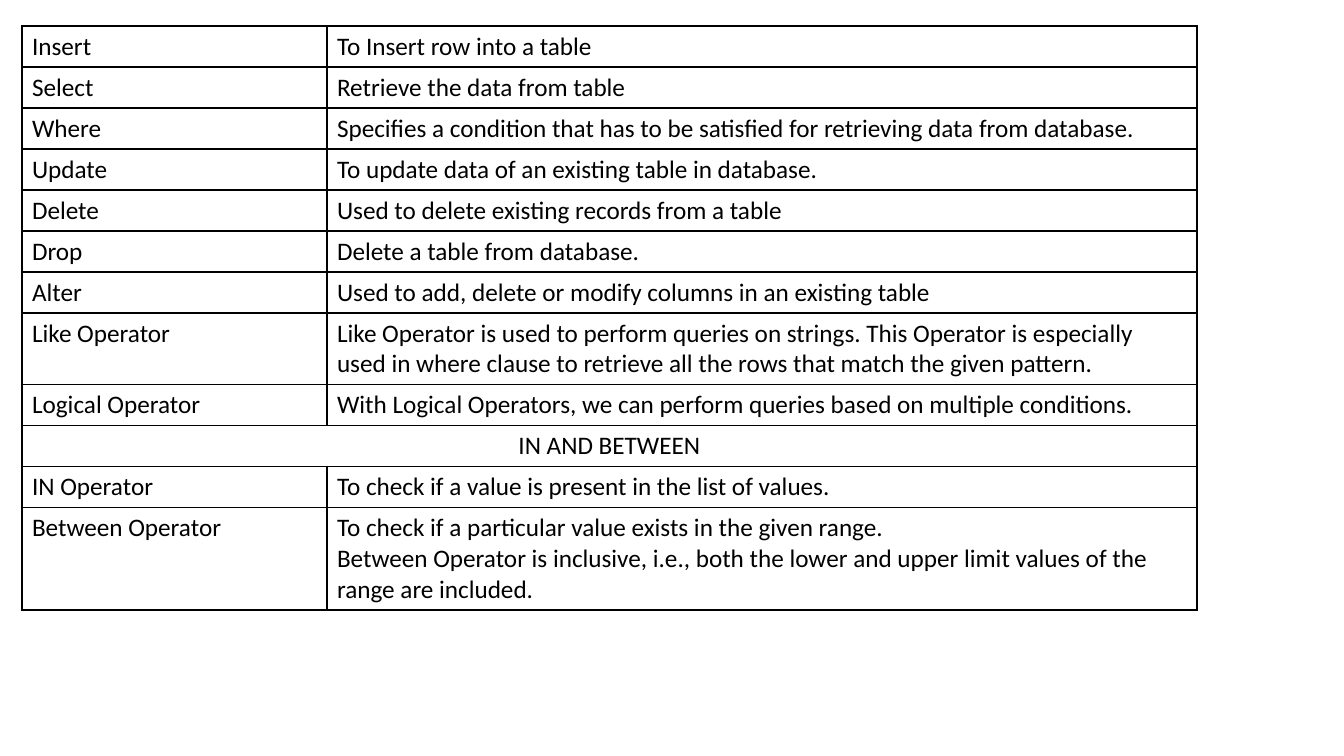
from lxml import etree
from pptx import Presentation
from pptx.dml.color import RGBColor
from pptx.enum.text import PP_ALIGN
from pptx.oxml.ns import qn
from pptx.util import Emu, Pt

LEFT, CENTER = PP_ALIGN.LEFT, PP_ALIGN.CENTER
EMU_PER_PX = 914400 / 100.8
BLACK = "000000"
COLUMN_WIDTHS = (305, 870)
LINE_HEIGHT, ROW_PADDING = 31, 10
COMMANDS = [
    ("Insert", "To Insert row into a table", 1),
    ("Select", "Retrieve the data from table", 1),
    ("Where", "Specifies a condition that has to be satisfied for retrieving data from database.", 1),
    ("Update", "To update data of an existing table in database.", 1),
    ("Delete", "Used to delete existing records from a table", 1),
    ("Drop", "Delete a table from database.", 1),
    ("Alter", "Used to add, delete or modify columns in an existing table", 1),
    ("Like Operator", "Like Operator is used to perform queries on strings. This Operator is especially "
     "used in where clause to retrieve all the rows that match the given pattern.", 2),
    ("Logical Operator", "With Logical Operators, we can perform queries based on multiple conditions.", 1),
    ("IN AND BETWEEN", None, 1),
    ("IN Operator", "To check if a value is present in the list of values.", 1),
    ("Between Operator", "To check if a particular value exists in the given range.\n"
     "Between Operator is inclusive, i.e., both the lower and upper limit values of the "
     "range are included.", 3),
]


def px(length):
    """Turn pixels into EMU."""
    return Emu(round(length * EMU_PER_PX))


def color(value):
    """Turn a hex string into a colour."""
    return RGBColor.from_string(value)


def write_text(frame, text, size=18, font="Calibri", ink=BLACK, align=LEFT):
    """Fill a text frame with one paragraph per line of text."""
    frame.text = text
    for para in frame.paragraphs:
        para.alignment = align
        for span in para.runs:
            span.font.size = Pt(size)
            span.font.name = font
            span.font.color.rgb = color(ink)


def add_borders(cell, ink=BLACK, width=1):
    """Draw a solid line on each side of a cell."""
    properties = cell._tc.get_or_add_tcPr()
    for index, side in enumerate(("a:lnL", "a:lnR", "a:lnT", "a:lnB")):
        line = etree.Element(qn(side), w=str(Pt(width)))
        fill = etree.SubElement(line, qn("a:solidFill"))
        etree.SubElement(fill, qn("a:srgbClr"), val=ink)
        properties.insert(index, line)


def add_command_table(page, left, top, width):
    """Place the table of commands and their uses."""
    heights = [ROW_PADDING + LINE_HEIGHT * lines - (lines > 1) for _, _, lines in COMMANDS]
    box = page.shapes.add_table(len(COMMANDS), len(COLUMN_WIDTHS),
                                px(left), px(top), px(width), px(sum(heights)))
    table = box.table
    table.first_row = table.horz_banding = False
    for column, column_width in zip(table.columns, COLUMN_WIDTHS):
        column.width = px(column_width)
    for index, (command, use, _) in enumerate(COMMANDS):
        table.rows[index].height = px(heights[index])
        name_cell, use_cell = table.rows[index].cells
        if use is None:
            name_cell.merge(use_cell)
            write_text(name_cell.text_frame, command, align=CENTER)
        else:
            write_text(name_cell.text_frame, command)
            write_text(use_cell.text_frame, use)
        for cell in (name_cell, use_cell):
            cell.fill.background()
            add_borders(cell)


def main():
    """Build and save the deck."""
    deck = Presentation()
    deck.slide_width, deck.slide_height = px(1344), px(756)
    page = deck.slides.add_slide(deck.slide_layouts[6])
    add_command_table(page, 22, 26, sum(COLUMN_WIDTHS))
    deck.save("out.pptx")


if __name__ == "__main__":
    main()
